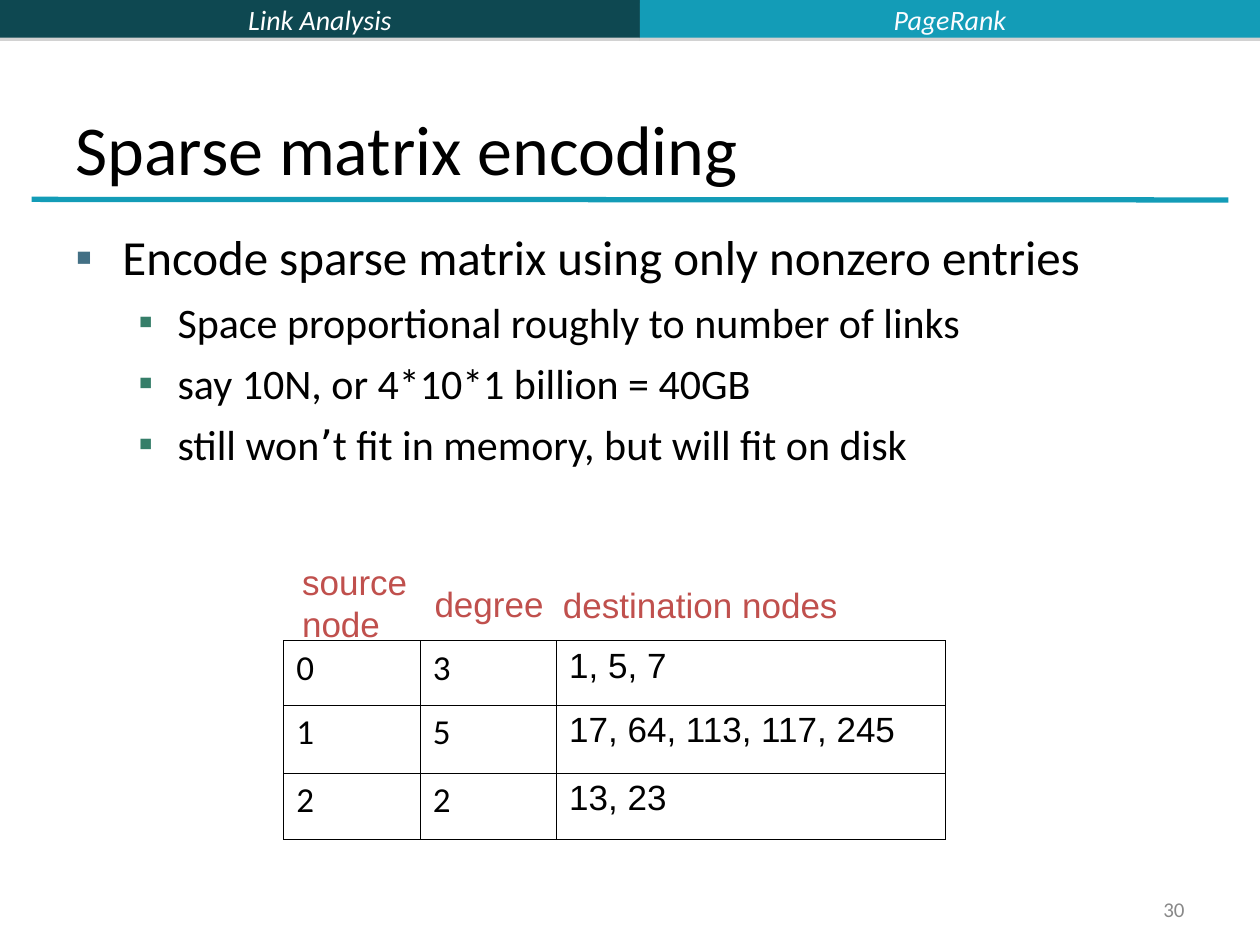
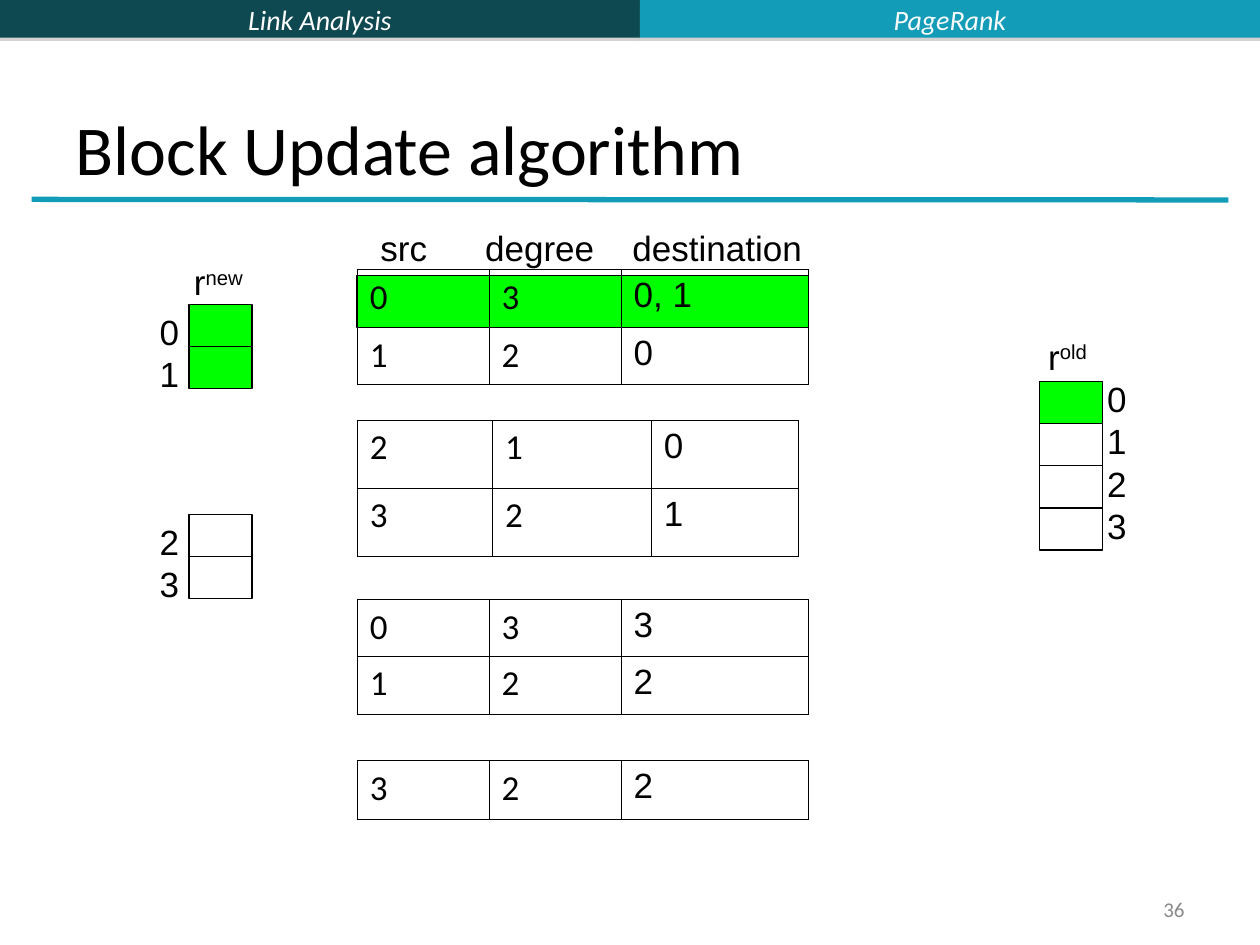
from lxml import etree
from pptx import Presentation
from pptx.dml.color import RGBColor
from pptx.enum.shapes import MSO_CONNECTOR, MSO_SHAPE
from pptx.enum.text import MSO_ANCHOR, MSO_AUTO_SIZE, PP_ALIGN
from pptx.oxml import parse_xml
from pptx.oxml.ns import nsdecls, qn
from pptx.util import Cm, Pt

LEFT, CENTER, RIGHT = PP_ALIGN.LEFT, PP_ALIGN.CENTER, PP_ALIGN.RIGHT
TOP, MIDDLE, BOTTOM = MSO_ANCHOR.TOP, MSO_ANCHOR.MIDDLE, MSO_ANCHOR.BOTTOM
RECTANGLE = MSO_SHAPE.RECTANGLE
STRAIGHT = MSO_CONNECTOR.STRAIGHT
NO_AUTOFIT, FIT_SHAPE = MSO_AUTO_SIZE.NONE, MSO_AUTO_SIZE.SHAPE_TO_FIT_TEXT
TITLE_ONLY = 5

BLACK, WHITE, GREY = "000000", "FFFFFF", "898989"
DARK_TEAL, TEAL = "0E4851", "139CB7"
RED, GREEN = "C0504D", "00FF00"
BODY_FONT, LABEL_FONT, QUOTE_FONT = "Calibri", "Arial", "DejaVu Sans"

# Content; all places and sizes are in centimetres
BANDS = [("Link Analysis", 0, 12.9, DARK_TEAL, WHITE),
         ("PageRank", 12.9, 12.5, TEAL, "FBFCFF")]
BAND_HEIGHT = 0.76

# Per level: text size, indent, hanging, space before, bullet colour
BULLET_LEVELS = [(28, 0.95, 0.95, 7, "437085"),
                 (24, 2.06, 0.79, 6, "357E69")]
BULLETS = [(0, "Encode sparse matrix using only nonzero entries"),
           (1, "Space proportional roughly to number of links"),
           (1, "say 10N, or 4*10*1 billion = 40GB"),
           (1, "still won’t fit in memory, but will fit on disk")]

# Labels: lines, left, top, width, height
ENCODING_LABELS = [(["source", "node"], 5.84, 11.18, 2.75, 1.96),
                   (["degree"], 8.51, 11.61, 2.8, 1.12),
                   (["destination nodes"], 11.1, 11.63, 6.15, 1.12)]
ENCODING_TABLE = dict(left=5.72, top=12.91, columns=[2.75, 2.75, 7.83],
                      heights=[1.3, 1.37, 1.35],
                      rows=[("0", "3", "1, 5, 7"),
                            ("1", "5", "17, 64, 113, 117, 245"),
                            ("2", "2", "13, 23")])

BLOCK_LABELS = [(["src"], 7.42, 4.45, 1.55, 1.12),
                (["degree"], 9.53, 4.45, 2.8, 1.12),
                (["destination"], 12.5, 4.45, 4.05, 1.12)]
BLOCK_LEFT = 7.2
BLOCK_COLUMNS = [2.66, 2.66, 3.78]
BLOCK_TABLES = [
    dict(top=5.43, columns=BLOCK_COLUMNS, heights=[1.17, 1.15],
         rows=[("0", "3", "0, 1"), ("1", "2", "0")]),
    dict(top=8.47, columns=[2.73, 3.2, 2.96], heights=[1.37, 1.37],
         rows=[("2", "1", "0"), ("3", "2", "1")]),
    dict(top=12.09, columns=BLOCK_COLUMNS, heights=[1.14, 1.18],
         rows=[("0", "3", "3"), ("1", "2", "2")]),
    dict(top=15.33, columns=BLOCK_COLUMNS, heights=[1.18],
         rows=[("3", "2", "2")]),
]

# Vector parts: left, top, index offset (x, y), indices, active indices
VECTOR_PARTS = [(3.81, 6.14, (-0.84, 0), "01", "01"),
                (3.81, 10.37, (-0.84, 0), "23", ""),
                (20.95, 7.69, (1.12, -0.2), "0123", "0")]
VECTOR_CELL = (1.27, 0.85)
VECTOR_NAMES = [("r", "new", 3.66, 5.13, 1.6), ("r", "old", 20.88, 6.63, 1.4)]


def color(value):
    return RGBColor.from_string(value)


def style(paragraph, size, font=BODY_FONT, fill=BLACK, align=LEFT, italic=False):
    paragraph.alignment = align
    paragraph.font.size = Pt(size)
    paragraph.font.name = font
    paragraph.font.italic = italic
    paragraph.font.color.rgb = color(fill)


def add_box(slide, left, top, width, height, anchor=TOP, wrap=True):
    box = slide.shapes.add_textbox(Cm(left), Cm(top), Cm(width), Cm(height))
    frame = box.text_frame
    frame.word_wrap = wrap
    frame.auto_size = NO_AUTOFIT if wrap else FIT_SHAPE
    frame.vertical_anchor = anchor
    return frame


def add_label(slide, lines, left, top, width, height=1.12, fill=BLACK):
    frame = add_box(slide, left, top, width, height, wrap=False)
    frame.text = "\n".join(lines)
    for paragraph in frame.paragraphs:
        style(paragraph, 20, LABEL_FONT, fill)
    return frame


def add_rectangle(slide, left, top, width, height, fill=None, outline=None):
    shape = slide.shapes.add_shape(RECTANGLE, Cm(left), Cm(top), Cm(width), Cm(height))
    shape.shadow.inherit = False
    if fill:
        shape.fill.solid()
        shape.fill.fore_color.rgb = color(fill)
    else:
        shape.fill.background()
    if outline:
        shape.line.color.rgb = color(outline)
        shape.line.width = Pt(0.75)
    else:
        shape.line.fill.background()
    return shape


def add_band_shadow(shape):
    effects = shape._element.spPr.find(qn("a:effectLst"))
    effects.append(parse_xml(
        f'<a:outerShdw {nsdecls("a")} blurRad="0" dist="{Pt(1.8)}" dir="5400000">'
        '<a:srgbClr val="808080"><a:alpha val="35000"/></a:srgbClr></a:outerShdw>'))


def add_base_slide(presentation, title, number):
    """Add a slide with the bands, the title, its rule and the page number."""
    slide = presentation.slides.add_slide(presentation.slide_layouts[TITLE_ONLY])

    for text, left, width, fill, text_fill in BANDS:
        band = add_rectangle(slide, left, 0, width, BAND_HEIGHT, fill)
        add_band_shadow(band)
        band.text_frame.text = text
        band.text_frame.vertical_anchor = MIDDLE
        style(band.text_frame.paragraphs[0], 16, fill=text_fill, align=CENTER, italic=True)

    rule = slide.shapes.add_connector(STRAIGHT, Cm(0.64), Cm(4.02), Cm(24.76), Cm(4.03))
    rule.line.color.rgb = color(TEAL)
    rule.line.width = Pt(3)
    etree.SubElement(rule._element.spPr, qn("a:effectLst"))

    heading = slide.shapes.title
    heading.left, heading.top = Cm(1.27), Cm(0.76)
    heading.width, heading.height = Cm(22.86), Cm(3.18)
    heading.text_frame.text = title
    heading.text_frame.auto_size = NO_AUTOFIT
    heading.text_frame.vertical_anchor = BOTTOM
    style(heading.text_frame.paragraphs[0], 40)

    footer = add_box(slide, 18.21, 17.98, 5.92, 0.69, MIDDLE)
    footer.text = str(number)
    style(footer.paragraphs[0], 12, fill=GREY, align=RIGHT)
    return slide


def add_bullets(slide):
    frame = add_box(slide, 1.27, 4.45, 22.86, 13.54)
    for position, (level, text) in enumerate(BULLETS):
        size, indent, hanging, space, bullet_fill = BULLET_LEVELS[level]
        paragraph = frame.add_paragraph() if position else frame.paragraphs[0]
        paragraph.level = level
        paragraph.space_before = Pt(space)
        style(paragraph, size)
        before, quote, after = text.partition("’")
        for part in filter(None, (before, quote, after)):
            run = paragraph.add_run()
            run.text = part
            if part == quote:
                run.font.name = QUOTE_FONT

        # Bullet elements go before the default run properties
        properties = paragraph._p.get_or_add_pPr()
        properties.set("marL", str(Cm(indent)))
        properties.set("indent", str(-Cm(hanging)))
        defaults = properties.find(qn("a:defRPr"))
        for element in (f'<a:buClr {nsdecls("a")}><a:srgbClr val="{bullet_fill}"/></a:buClr>',
                        f'<a:buFont {nsdecls("a")} typeface="{LABEL_FONT}"/>',
                        f'<a:buChar {nsdecls("a")} char="▪"/>'):
            defaults.addprevious(parse_xml(element))


def add_borders(cell):
    properties = cell._tc.get_or_add_tcPr()
    for position, side in enumerate(("lnL", "lnR", "lnT", "lnB")):
        properties.insert(position, parse_xml(
            f'<a:{side} {nsdecls("a")} w="{Pt(0.45)}"><a:solidFill>'
            f'<a:srgbClr val="{BLACK}"/></a:solidFill></a:{side}>'))


def add_grid(slide, top, columns, heights, rows, left=BLOCK_LEFT):
    table = slide.shapes.add_table(len(rows), len(columns), Cm(left), Cm(top),
                                   Cm(sum(columns)), Cm(sum(heights))).table
    table.first_row = table.horz_banding = False
    for column, width in zip(table.columns, columns):
        column.width = Cm(width)
    for row, height, values in zip(table.rows, heights, rows):
        row.height = Cm(height)
        for position, (cell, value) in enumerate(zip(row.cells, values)):
            cell.text = value
            cell.fill.background()
            add_borders(cell)
            paragraph = cell.text_frame.paragraphs[0]
            paragraph.space_before = Pt(5)
            style(paragraph, 20, LABEL_FONT if position == 2 else BODY_FONT)


def add_vector_part(slide, left, top, offset, indices, active):
    width, height = VECTOR_CELL
    for position, index in enumerate(indices):
        cell_top = top + position * height
        add_rectangle(slide, left, cell_top, width, height,
                      GREEN if index in active else None, BLACK)
        add_label(slide, [index], left + offset[0], cell_top + offset[1], 0.95)


def build_encoding_slide(presentation):
    slide = add_base_slide(presentation, "Sparse matrix encoding", 30)
    add_bullets(slide)
    add_grid(slide, **ENCODING_TABLE)
    for label in ENCODING_LABELS:
        add_label(slide, *label, fill=RED)


def build_block_update_slide(presentation):
    slide = add_base_slide(presentation, "Block Update algorithm", 36)
    # Highlight behind the row being processed
    add_rectangle(slide, BLOCK_LEFT, 5.55, sum(BLOCK_COLUMNS), 1.06, GREEN, BLACK)
    for block in BLOCK_TABLES:
        add_grid(slide, **block)
    for label in BLOCK_LABELS:
        add_label(slide, *label)

    # Rank vectors with their indices and names
    for part in VECTOR_PARTS:
        add_vector_part(slide, *part)
    for name, superscript, left, top, width in VECTOR_NAMES:
        frame = add_label(slide, [name], left, top, width)
        run = frame.paragraphs[0].add_run()
        run.text = superscript
        run._r.get_or_add_rPr().set("baseline", "30000")


def main():
    presentation = Presentation()
    presentation.slide_width, presentation.slide_height = Cm(25.4), Cm(19.05)
    build_encoding_slide(presentation)
    build_block_update_slide(presentation)
    presentation.save("out.pptx")


if __name__ == "__main__":
    main()
